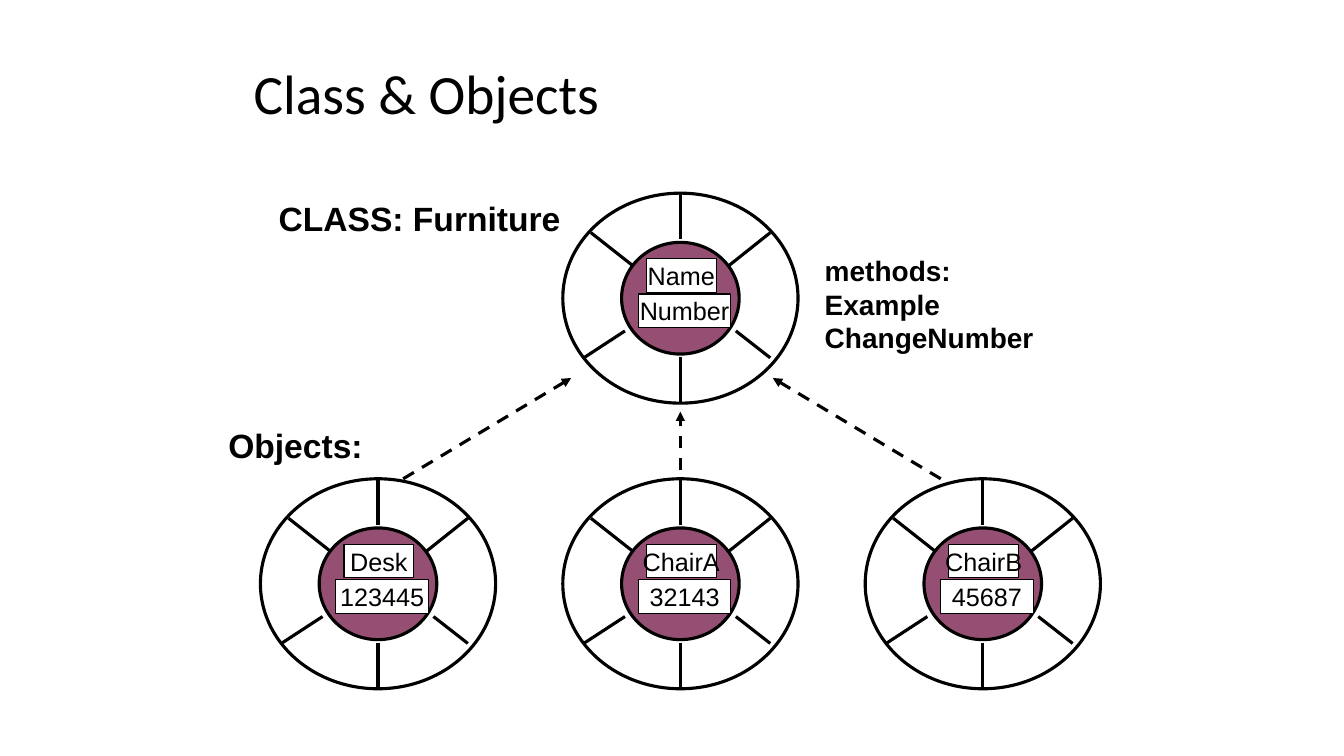
from dataclasses import dataclass
from pptx import Presentation
from pptx.dml.color import RGBColor
from pptx.enum.dml import MSO_LINE
from pptx.enum.shapes import MSO_CONNECTOR, MSO_SHAPE
from pptx.enum.text import MSO_ANCHOR, MSO_AUTO_SIZE, PP_ALIGN
from pptx.oxml.ns import qn
from pptx.util import Inches, Pt
from lxml.etree import SubElement


@dataclass(frozen=True)
class Theme:
    ink: RGBColor = RGBColor(0x00, 0x00, 0x00)
    paper: RGBColor = RGBColor(0xFF, 0xFF, 0xFF)
    hub: RGBColor = RGBColor(0x95, 0x4F, 0x72)
    title_font: str = "Calibri"
    body_font: str = "Arial"
    title_size: float = 39.6
    heading_size: float = 24
    methods_size: float = 20
    field_size: float = 18
    stroke: float = 2.25
    hairline: float = 0.75


THEME = Theme()
COLUMNS, ROWS = 160, 90
CELL = Inches(1 / 12)
WHEEL_WIDTH, WHEEL_HEIGHT = 28, 25
HUB = (7, 5.85, 14, 13.3)
NAME_FIELD = (9.95, 7.8, 8.3, 4)
NUMBER_FIELD = (9, 12, 11, 4)
SPOKES = (
    (14, 0, 14, 5.5),
    (14, 19.5, 14, 25),
    (3.35, 4.7, 8.3, 8.6),
    (20.6, 16.4, 24.7, 19.6),
    (2.5, 19.6, 7.4, 16.4),
    (19.8, 8.6, 24.7, 4.7),
)
CLASS_WHEEL = (67, 23, "Name", "Number")
OBJECT_ROW, OBJECT_LEFT, OBJECT_STEP = 57, 31, 36
OBJECTS = (("Desk", "123445"), ("ChairA", "32143"), ("ChairB", "45687"))
HEADINGS = (
    ((32, 23, 36, 6), [["CLASS: Furniture"]], THEME.heading_size),
    ((97, 29.6, 32, 12.5), [["methods:", "Example"], ["ChangeNumber"]], THEME.methods_size),
    ((26, 50, 18.4, 6), [["Objects:"]], THEME.heading_size),
)
INHERITANCE = ((48, 57, 68, 45), (81, 56, 81, 49), (112, 57, 92, 45))


def grid(*cells):
    return [round(cell * CELL) for cell in cells]


def shifted(left, top, box):
    return left + box[0], top + box[1], box[2], box[3]


def add_text(paragraph, words, size, font=THEME.body_font, bold=False):
    run = paragraph.add_run()
    run.text = words
    run.font.name = font
    run.font.size = Pt(size)
    run.font.bold = bold
    run.font.color.rgb = THEME.ink


def add_outlined(shapes, kind, box, fill=None, width=THEME.stroke):
    outlined = shapes.add_shape(kind, *grid(*box))
    outlined.shadow.inherit = False
    if fill is None:
        outlined.fill.background()
    else:
        outlined.fill.solid()
        outlined.fill.fore_color.rgb = fill
    outlined.line.color.rgb = THEME.ink
    outlined.line.width = Pt(width)
    return outlined


def add_line(shapes, ends):
    line = shapes.add_connector(MSO_CONNECTOR.STRAIGHT, *grid(*ends))
    line.line.color.rgb = THEME.ink
    line.line.width = Pt(THEME.stroke)
    SubElement(line._element.spPr, qn("a:effectLst"))
    return line


def add_dashed_arrow(shapes, ends):
    arrow = add_line(shapes, ends)
    arrow.line.dash_style = MSO_LINE.DASH
    SubElement(arrow.line._get_or_add_ln(), qn("a:tailEnd"), type="triangle")


def add_field(shapes, box, words):
    frame = add_outlined(
        shapes, MSO_SHAPE.RECTANGLE, box, THEME.paper, THEME.hairline
    ).text_frame
    frame.word_wrap = False
    frame.vertical_anchor = MSO_ANCHOR.MIDDLE
    frame.paragraphs[0].alignment = PP_ALIGN.CENTER
    add_text(frame.paragraphs[0], words, THEME.field_size)


def add_wheel(slide, left, top, name, number):
    shapes = slide.shapes.add_group_shape().shapes
    add_outlined(shapes, MSO_SHAPE.OVAL, (left, top, WHEEL_WIDTH, WHEEL_HEIGHT))
    add_outlined(shapes, MSO_SHAPE.OVAL, shifted(left, top, HUB), THEME.hub)
    for x1, y1, x2, y2 in SPOKES:
        add_line(shapes, (left + x1, top + y1, left + x2, top + y2))
    add_field(shapes, shifted(left, top, NAME_FIELD), name)
    add_field(shapes, shifted(left, top, NUMBER_FIELD), number)


def add_heading(slide, box, paragraphs, size):
    frame = slide.shapes.add_textbox(*grid(*box)).text_frame
    frame.word_wrap = False
    frame.auto_size = MSO_AUTO_SIZE.SHAPE_TO_FIT_TEXT
    for index, lines in enumerate(paragraphs):
        paragraph = frame.add_paragraph() if index else frame.paragraphs[0]
        for position, words in enumerate(lines):
            if position:
                paragraph.add_line_break()
            add_text(paragraph, words, size, bold=True)


def set_title(slide, words):
    title = slide.shapes.title
    title.left, title.top, title.width, title.height = grid(29, 8, 102, 7)
    frame = title.text_frame
    frame.auto_size = MSO_AUTO_SIZE.NONE
    frame.vertical_anchor = MSO_ANCHOR.MIDDLE
    paragraph = frame.paragraphs[0]
    paragraph.alignment = PP_ALIGN.LEFT
    paragraph.line_spacing = 0.9
    add_text(paragraph, words, THEME.title_size, THEME.title_font)


def main():
    deck = Presentation()
    deck.slide_width, deck.slide_height = grid(COLUMNS, ROWS)
    slide = deck.slides.add_slide(deck.slide_layouts.get_by_name("Title Only"))
    set_title(slide, "Class & Objects")
    add_wheel(slide, *CLASS_WHEEL)
    for heading in HEADINGS:
        add_heading(slide, *heading)
    for index, fields in enumerate(OBJECTS):
        add_wheel(slide, OBJECT_LEFT + index * OBJECT_STEP, OBJECT_ROW, *fields)
    for ends in INHERITANCE:
        add_dashed_arrow(slide.shapes, ends)
    deck.save("out.pptx")


if __name__ == "__main__":
    main()
